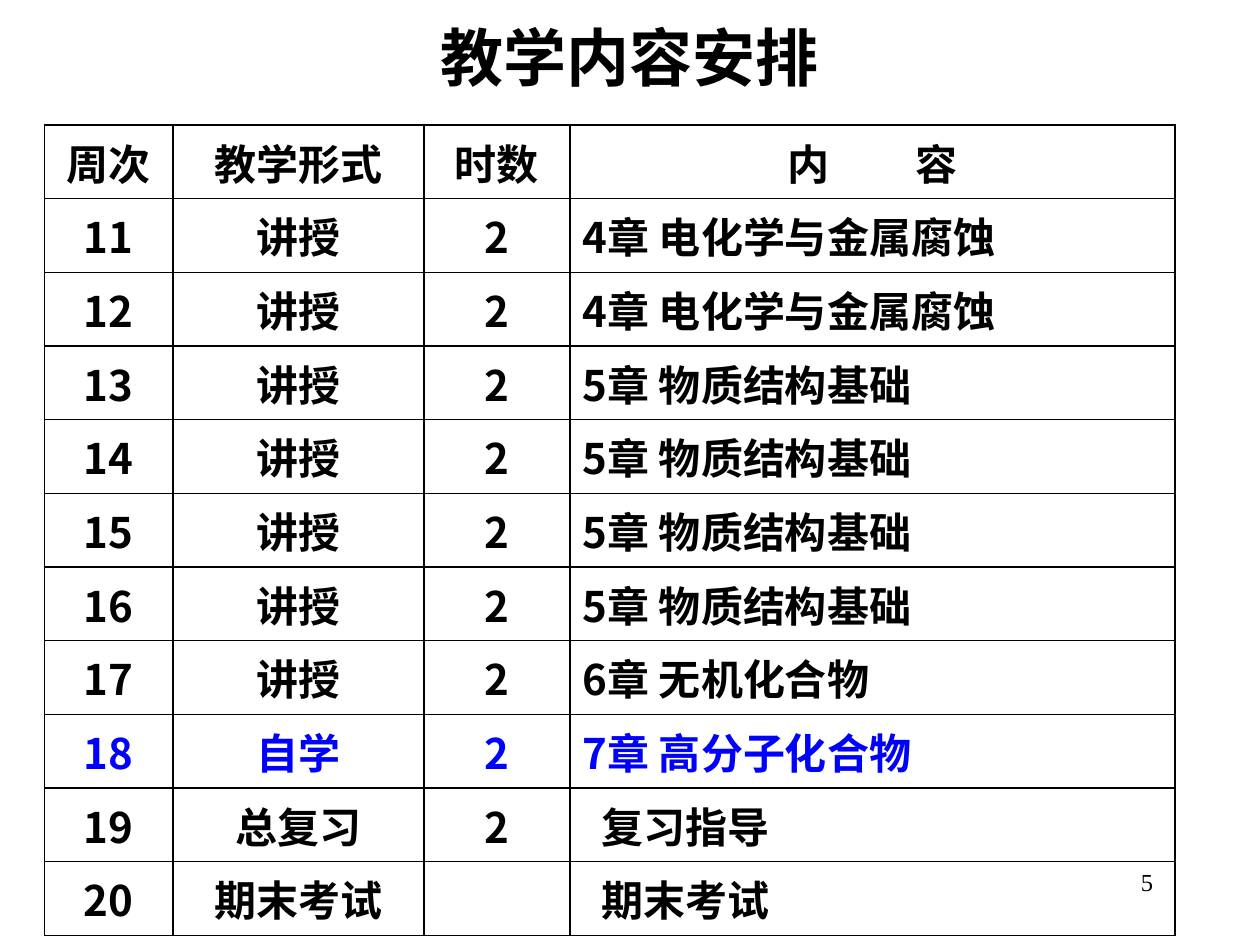
from lxml import etree
from pptx import Presentation
from pptx.dml.color import RGBColor
from pptx.enum.text import MSO_ANCHOR, PP_ALIGN
from pptx.oxml.ns import qn
from pptx.util import Pt

CENTER, LEFT, RIGHT = PP_ALIGN.CENTER, PP_ALIGN.LEFT, PP_ALIGN.RIGHT
TOP, MIDDLE = MSO_ANCHOR.TOP, MSO_ANCHOR.MIDDLE
TITLE_ONLY = 5

COLORS = {"text": "000000", "self_study": "0000FF", "border": "000000"}
SANS, SERIF = "Noto Sans CJK SC", "Times New Roman"

COLUMN_WIDTHS = [73.4, 143.4, 83.6, 345.6]
ROW_HEIGHT = 42.1
CELL_MARGIN, REVIEW_MARGIN = 7.2, 18
HEADER_GAP = 44

HEADERS = ["周次", "教学形式", "时数", "内 容"]
FIRST_WEEK = 11
# Teaching form, hours, content; one entry for each week
LESSONS = [
    *[("讲授", "2", "4章 电化学与金属腐蚀")] * 2,
    *[("讲授", "2", "5章 物质结构基础")] * 4,
    ("讲授", "2", "6章 无机化合物"),
    ("自学", "2", "7章 高分子化合物"),
    ("总复习", "2", "复习指导"),
    ("期末考试", "", "期末考试"),
]


def write_text(frame, text, size=24, font=SANS, color="text", bold=True,
               align=CENTER, space_gap=0):
    """Write one paragraph; space_gap widens each space by that many points."""
    paragraph = frame.paragraphs[0]
    paragraph.alignment = align
    for part in text.partition(" ") if space_gap else [text]:
        run = paragraph.add_run()
        run.text = part
        run.font.size = Pt(size)
        run.font.bold = bold
        run.font.name = font
        run.font.color.rgb = RGBColor.from_string(COLORS[color])
        properties = run._r.get_or_add_rPr()
        etree.SubElement(properties, qn("a:ea"), typeface=SANS)
        if part == " ":
            properties.set("spc", str(space_gap * 100))


def set_borders(cell, width=1):
    properties = cell._tc.get_or_add_tcPr()
    for side in ("lnL", "lnR", "lnT", "lnB"):
        line = etree.SubElement(properties, qn(f"a:{side}"), w=str(Pt(width)))
        fill = etree.SubElement(line, qn("a:solidFill"))
        etree.SubElement(fill, qn("a:srgbClr"), val=COLORS["border"])


def add_page_number(slide, left, top, width, height):
    frame = slide.shapes.add_textbox(
        Pt(left), Pt(top), Pt(width), Pt(height)).text_frame
    frame.word_wrap = True
    frame.vertical_anchor = TOP
    write_text(frame, "5", size=14, font=SERIF, bold=False, align=RIGHT)


def add_title(slide, left, top, width, height):
    title = slide.shapes.title
    title.left, title.top = Pt(left), Pt(top)
    title.width, title.height = Pt(width), Pt(height)
    title.text_frame.vertical_anchor = MIDDLE
    write_text(title.text_frame, "教学内容安排", size=36, font=SERIF)


def add_schedule(slide, left, top):
    rows = [HEADERS] + [(str(week), *lesson)
                        for week, lesson in enumerate(LESSONS, FIRST_WEEK)]
    table = slide.shapes.add_table(
        len(rows), len(COLUMN_WIDTHS), Pt(left), Pt(top),
        Pt(sum(COLUMN_WIDTHS)), Pt(ROW_HEIGHT * len(rows))).table
    table.first_row = table.horz_banding = False
    for column, width in zip(table.columns, COLUMN_WIDTHS):
        column.width = Pt(width)

    content_column = len(COLUMN_WIDTHS) - 1
    for row_index, values in enumerate(rows):
        table.rows[row_index].height = Pt(ROW_HEIGHT)
        is_header = row_index == 0
        color = "self_study" if values[1] == "自学" else "text"
        for column_index, text in enumerate(values):
            cell = table.cell(row_index, column_index)
            is_content = column_index == content_column
            is_chapter = "章" in text
            set_borders(cell)
            cell.fill.background()
            cell.vertical_anchor = MIDDLE
            indented = is_content and not is_header and not is_chapter
            cell.margin_left = Pt(REVIEW_MARGIN if indented else CELL_MARGIN)
            write_text(cell.text_frame, text, color=color,
                       align=LEFT if is_content and not is_header else CENTER,
                       space_gap=HEADER_GAP if is_header and is_content else 0)


def main():
    presentation = Presentation()
    presentation.slide_width, presentation.slide_height = Pt(720), Pt(540)
    slide = presentation.slides.add_slide(
        presentation.slide_layouts[TITLE_ONLY])
    add_page_number(slide, 516, 492, 150, 36)
    add_title(slide, 161.5, 9.5, 397, 45)
    add_schedule(slide, 25.4, 71.4)
    presentation.save("out.pptx")


if __name__ == "__main__":
    main()
